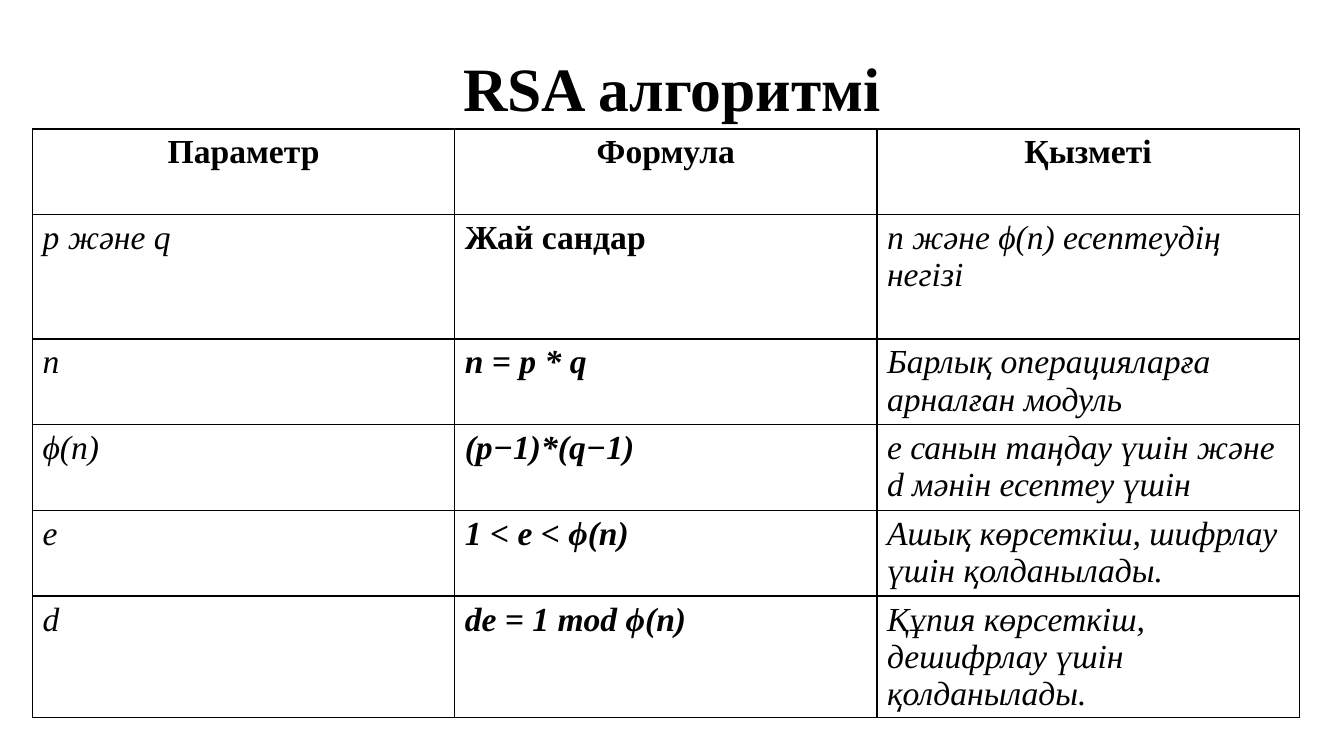
"""Build the slide with the table of RSA parameters."""
import dataclasses

import lxml.etree
import pptx
import pptx.dml.color
import pptx.enum.text
import pptx.oxml.ns
import pptx.util

Cm = pptx.util.Cm
Pt = pptx.util.Pt
Align = pptx.enum.text.PP_ALIGN

TITLE = "RSA алгоритмі"
HEADER = ("Параметр", "Формула", "Қызметі")
PARAMETERS = [
    ("p және q", "Жай сандар", "n және ϕ(n) есептеудің негізі"),
    ("n", "n = p * q", "Барлық операцияларға арналған модуль"),
    ("ϕ(n)", "(p−1)*(q−1)", "е санын таңдау үшін және d мәнін есептеу үшін"),
    ("e", "1 < e < ϕ(n)", "Ашық көрсеткіш, шифрлау үшін қолданылады."),
    ("d", "de = 1 mod ϕ(n)", "Құпия көрсеткіш, дешифрлау үшін қолданылады."),
]
UPRIGHT = {*HEADER, "Жай сандар"}
FORMULA_COLUMN = 1
COLUMN_WIDTH = 10.64
ROW_HEIGHTS = (2.16, 3.13, 2.16, 2.16, 2.16, 3.05)


@dataclasses.dataclass(frozen=True)
class Theme:
    font: str = "Times New Roman"
    ink: str = "000000"
    paper: str = "FFFFFF"
    title_size: int = 44
    cell_size: int = 24
    border: int = 1


THEME = Theme()


def add_span(para, text, size, bold, italic=False):
    span = para.add_run()
    span.text = text
    span.font.name = THEME.font
    span.font.size = Pt(size)
    span.font.bold = bold
    span.font.italic = italic
    span.font.color.rgb = pptx.dml.color.RGBColor.from_string(THEME.ink)


def add_borders(cell):
    properties = cell._tc.get_or_add_tcPr()
    qn = pptx.oxml.ns.qn
    for position, side in enumerate(("a:lnL", "a:lnR", "a:lnT", "a:lnB")):
        line = lxml.etree.Element(qn(side), w=str(Pt(THEME.border)))
        fill = lxml.etree.SubElement(line, qn("a:solidFill"))
        lxml.etree.SubElement(fill, qn("a:srgbClr"), val=THEME.ink)
        properties.insert(position, line)


def add_title(page):
    box = page.shapes.title
    box.left, box.top, box.width, box.height = Cm(2.33), Cm(1.01), Cm(29.21), Cm(2.6)
    frame = box.text_frame
    frame.auto_size = pptx.enum.text.MSO_AUTO_SIZE.NONE
    frame.vertical_anchor = pptx.enum.text.MSO_ANCHOR.MIDDLE
    para = frame.paragraphs[0]
    para.alignment = Align.CENTER
    para.line_spacing = 0.9
    add_span(para, TITLE, THEME.title_size, True)


def add_parameter_table(page):
    rows = [HEADER, *PARAMETERS]
    table = page.shapes.add_table(
        len(rows), len(HEADER), Cm(0.82), Cm(3.25),
        Cm(COLUMN_WIDTH * len(HEADER)), Cm(sum(ROW_HEIGHTS)),
    ).table
    table.horz_banding = False
    for column in table.columns:
        column.width = Cm(COLUMN_WIDTH)
    for row_index, texts in enumerate(rows):
        table.rows[row_index].height = Cm(ROW_HEIGHTS[row_index])
        is_header = row_index == 0
        for column_index, text in enumerate(texts):
            cell = table.cell(row_index, column_index)
            cell.fill.solid()
            cell.fill.fore_color.rgb = pptx.dml.color.RGBColor.from_string(THEME.paper)
            add_borders(cell)
            para = cell.text_frame.paragraphs[0]
            para.alignment = Align.CENTER if is_header else Align.LEFT
            bold = is_header or column_index == FORMULA_COLUMN
            add_span(para, text, THEME.cell_size, bold, text not in UPRIGHT)


def main():
    deck = pptx.Presentation()
    deck.slide_width, deck.slide_height = Cm(33.87), Cm(19.05)
    page = deck.slides.add_slide(deck.slide_layouts.get_by_name("Title Only"))
    add_title(page)
    add_parameter_table(page)
    deck.save("out.pptx")


if __name__ == "__main__":
    main()
